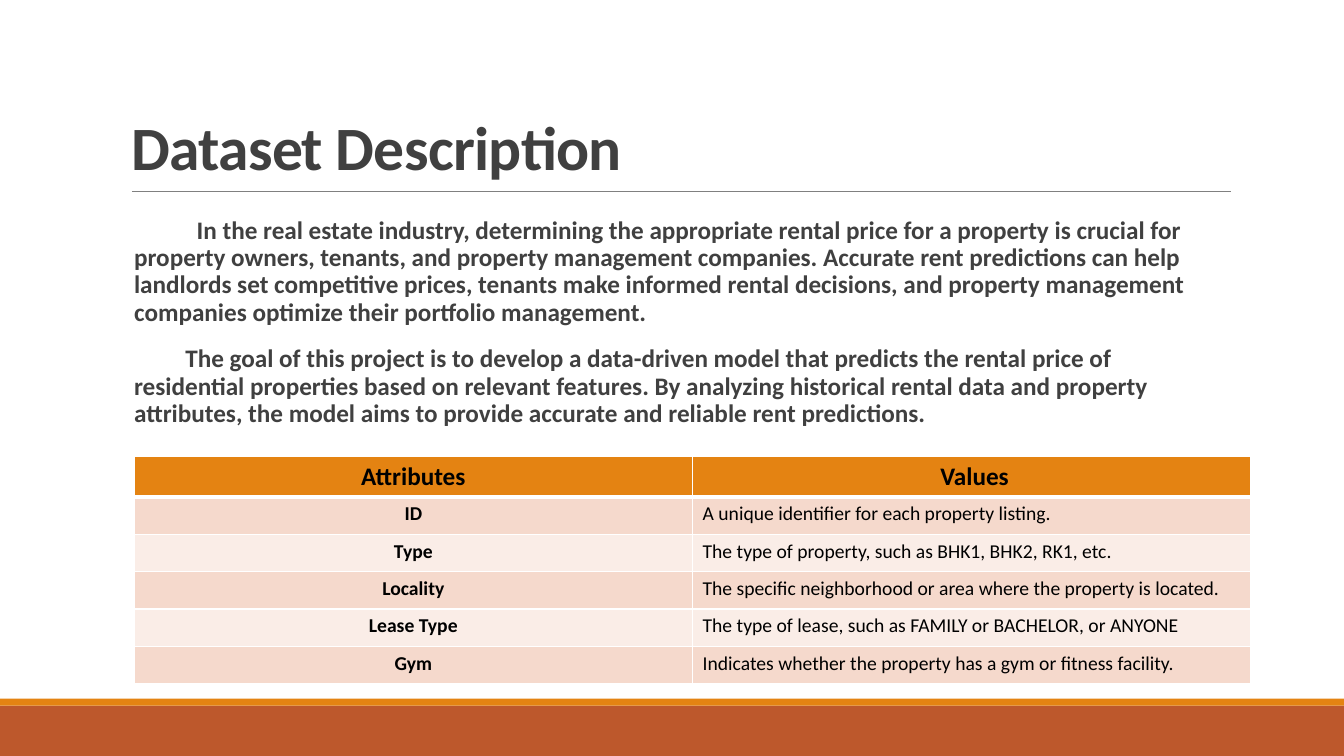
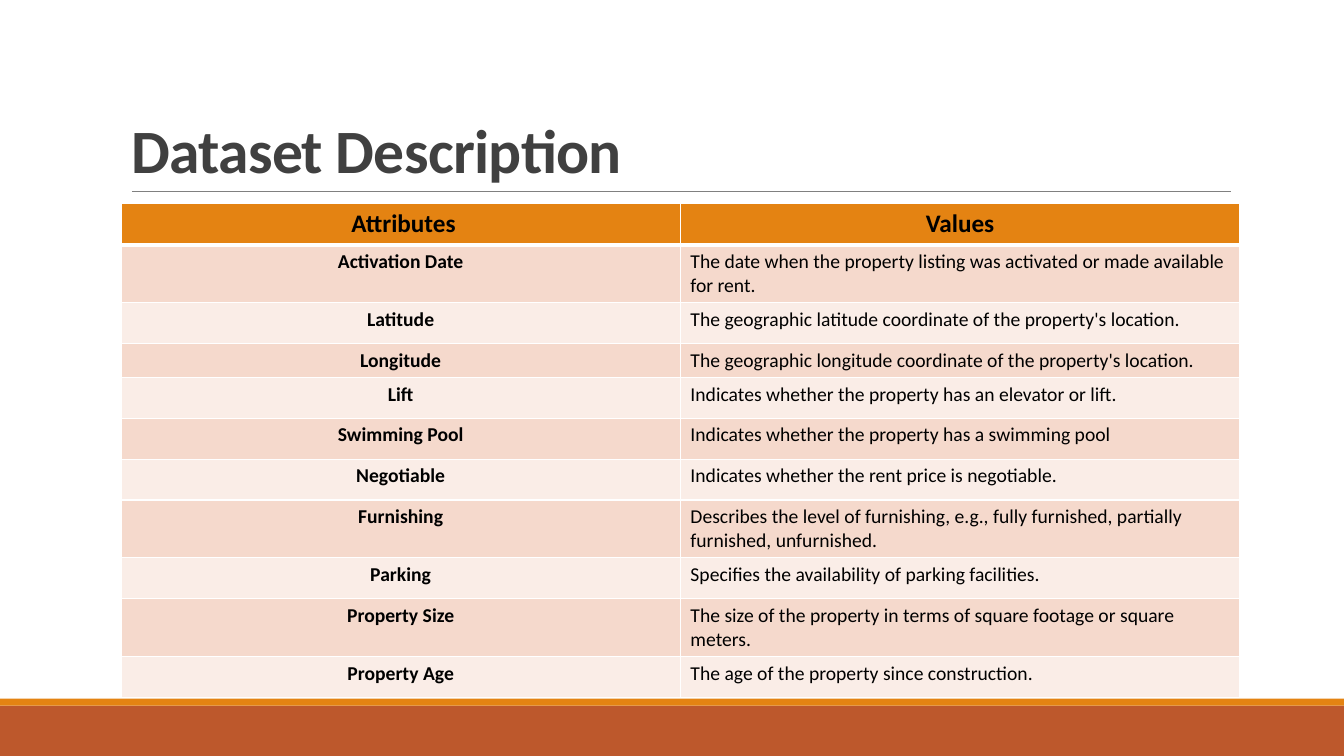
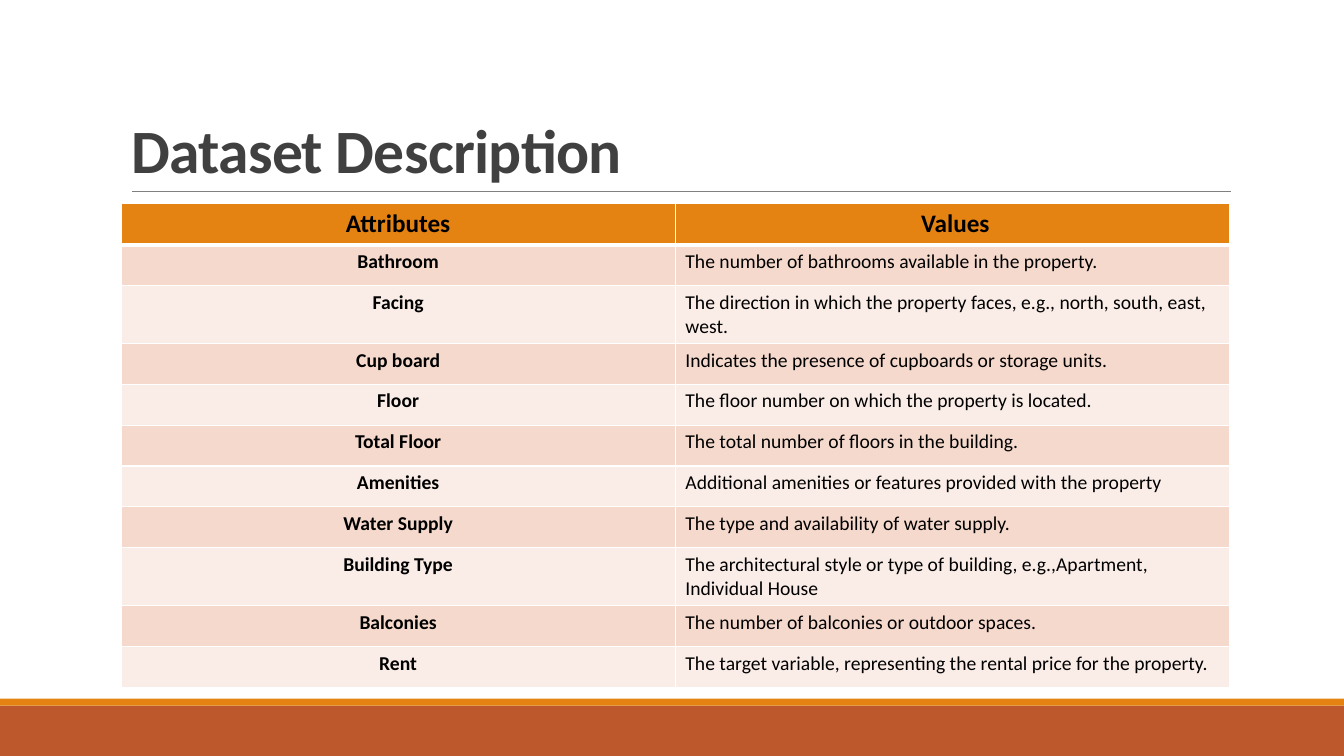
"""Builds three slides that describe the attributes of a rental data set."""
from lxml import etree
from pptx import Presentation
from pptx.dml.color import RGBColor
from pptx.enum.shapes import MSO_CONNECTOR, MSO_SHAPE
from pptx.enum.text import MSO_ANCHOR, MSO_AUTO_SIZE, PP_ALIGN
from pptx.oxml.ns import qn
from pptx.util import Pt

RECT, LINE = MSO_SHAPE.RECTANGLE, MSO_CONNECTOR.STRAIGHT
LEFT, MID = PP_ALIGN.LEFT, PP_ALIGN.CENTER
TOP, BOTTOM = MSO_ANCHOR.TOP, MSO_ANCHOR.BOTTOM
FIXED = MSO_AUTO_SIZE.NONE

FONT = "Calibri"
RUST, ORANGE, GRAY, INK = "BD582C", "E48312", "808080", "404040"
BLACK, WHITE = "000000", "FFFFFF"
BANDS = ["F5D9CC", "FAEDE7"]
WIDE, HIGH = 960, 540
TITLE = "Dataset Description"

INTRO = [
    (44.7, "In the real estate industry, determining the appropriate rental price for a property is crucial for "
           "property owners, tenants, and property management companies. Accurate rent predictions can help "
           "landlords set competitive prices, tenants make informed rental decisions, and property management "
           "companies optimize their portfolio management."),
    (36.6, "The goal of this project is to develop a data-driven model that predicts the rental price of "
           "residential properties based on relevant features. By analyzing historical rental data and property "
           "attributes, the model aims to provide accurate and reliable rent predictions."),
]

SLIDES = [
    {
        "title": (86.4, 87.1, 393.8, 47.5), "intro": INTRO,
        "at": (95.8, 326.2), "col": 398.9, "row": 26.7, "low": {},
        "head": ("Attributes", " Values"),
        "rows": [
            ("ID", "A unique identifier for each property listing."),
            ("Type", "The type of property, such as BHK1, BHK2, RK1, etc."),
            ("Locality", "The specific neighborhood or area where the property is located."),
            ("Lease Type", "The type of lease, such as FAMILY or BACHELOR, or ANYONE"),
            ("Gym", "Indicates whether the property has a gym or fitness facility."),
        ],
    },
    {
        "title": (86.4, 22.6, 792, 114.2), "intro": [],
        "at": (86.4, 145.6), "col": 399.6, "row": 29.2, "low": {3: 23.9},
        "head": (" Attributes", "Values"),
        "rows": [
            ("Activation Date", "The date when the property listing was activated or made available for rent."),
            ("Latitude", "The geographic latitude coordinate of the property's location."),
            ("Longitude", "The geographic longitude coordinate of the property's location."),
            ("Lift", "Indicates whether the property has an elevator or lift."),
            ("Swimming Pool", "Indicates whether the property has a swimming pool"),
            ("Negotiable", "Indicates whether the rent price is negotiable."),
            ("Furnishing", "Describes the level of furnishing, e.g., fully furnished, partially furnished, "
                           "unfurnished."),
            ("Parking", "Specifies the availability of parking facilities."),
            ("Property Size", "The size of the property in terms of square footage or square meters."),
            ("Property Age", "The age of the property since construction."),
        ],
    },
    {
        "title": (86.4, 22.6, 792, 114.2), "intro": [],
        "at": (86.4, 145.6), "col": 396, "row": 29.2, "low": {},
        "head": ("Attributes", " Values"),
        "rows": [
            ("Bathroom", "The number of bathrooms available in the property."),
            ("Facing", "The direction in which the property faces, e.g., north, south, east, west."),
            ("Cup board", "Indicates the presence of cupboards or storage units."),
            ("Floor", "The floor number on which the property is located."),
            ("Total Floor", "The total number of floors in the building."),
            ("Amenities", "Additional amenities or features provided with the property"),
            ("Water Supply", "The type and availability of water supply."),
            ("Building Type", "The architectural style or type of building, e.g.,Apartment, Individual House"),
            ("Balconies", "The number of balconies or outdoor spaces."),
            ("Rent", "The target variable, representing the rental price for the property."),
        ],
    },
]


def rgb(code):
    return RGBColor.from_string(code)


def write(para, text, size, color, bold, align=LEFT):
    para.alignment = align
    run = para.add_run()
    run.text = text
    font = run.font
    font.name, font.size, font.bold = FONT, Pt(size), bold
    font.color.rgb = rgb(color)
    return run


def add_frame(slide):
    for top, high, color in [(504, 36, RUST), (499, 5, ORANGE)]:
        band = slide.shapes.add_shape(RECT, 0, Pt(top), Pt(WIDE), Pt(high))
        band.shadow.inherit = False
        band.fill.solid()
        band.fill.fore_color.rgb = rgb(color)
        band.line.fill.background()
    rule = slide.shapes.add_connector(LINE, Pt(94.3), Pt(136.8), Pt(879.1), Pt(136.8))
    rule.line.color.rgb = rgb(GRAY)
    rule.line.width = Pt(0.5)
    etree.SubElement(rule._element.spPr, qn("a:effectLst"))


def add_title(slide, box):
    title = slide.shapes.title
    title.left, title.top, title.width, title.height = map(Pt, box)
    frame = title.text_frame
    frame.auto_size, frame.vertical_anchor, frame.word_wrap = FIXED, BOTTOM, True
    para = frame.paragraphs[0]
    para.line_spacing = 0.85
    run = write(para, TITLE, 44, INK, True)
    run._r.get_or_add_rPr().set("spc", "-50")


def add_intro(slide, paras):
    box = slide.shapes.add_textbox(Pt(95.8), Pt(151.9), Pt(780.5), Pt(320.4))
    frame = box.text_frame
    frame.word_wrap, frame.vertical_anchor = True, TOP
    frame.margin_left = frame.margin_right = 0
    for i, (indent, text) in enumerate(paras):
        para = frame.add_paragraph() if i else frame.paragraphs[0]
        para.line_spacing = 0.9
        para.space_before, para.space_after = Pt(12), Pt(2)
        para._p.get_or_add_pPr().set("indent", str(Pt(indent)))
        write(para, text, 18, INK, True)


def add_edges(cell, row):
    props = cell._tc.get_or_add_tcPr()
    for side in "LRTB":
        thick = (row, side) in [(0, "B"), (1, "T")]
        edge = etree.SubElement(props, qn("a:ln" + side), w=str(Pt(3 if thick else 1)))
        fill = etree.SubElement(edge, qn("a:solidFill"))
        etree.SubElement(fill, qn("a:srgbClr"), val=WHITE)


def add_grid(slide, data):
    rows = [data["head"]] + data["rows"]
    left, top = data["at"]
    col, high = data["col"], data["row"]
    grid = slide.shapes.add_table(len(rows), 2, Pt(left), Pt(top), Pt(2 * col), Pt(high * len(rows))).table
    grid.horz_banding = False
    for i, texts in enumerate(rows):
        grid.rows[i].height = Pt(data["low"].get(i, high))
        for j, text in enumerate(texts):
            cell = grid.cell(i, j)
            add_edges(cell, i)
            cell.fill.solid()
            cell.fill.fore_color.rgb = rgb(BANDS[(i - 1) % 2] if i else ORANGE)
            key = i == 0 or j == 0
            write(cell.text_frame.paragraphs[0], text, 14 if i else 18, BLACK, key, MID if key else LEFT)


def main():
    deck = Presentation()
    deck.slide_width, deck.slide_height = Pt(WIDE), Pt(HIGH)
    for data in SLIDES:
        slide = deck.slides.add_slide(deck.slide_layouts[5])
        add_frame(slide)
        add_title(slide, data["title"])
        if data["intro"]:
            add_intro(slide, data["intro"])
        add_grid(slide, data)
    deck.save("out.pptx")


if __name__ == "__main__":
    main()
